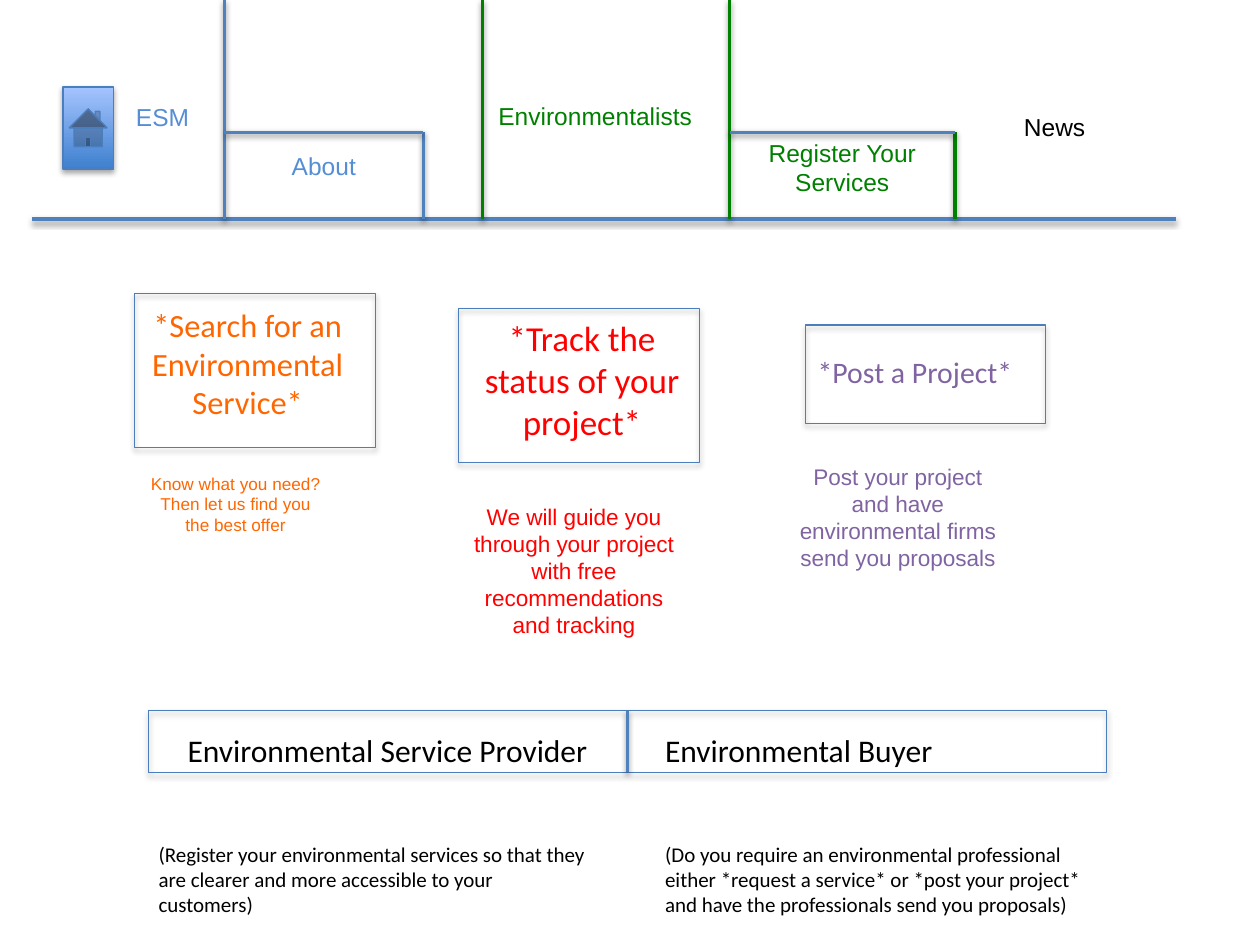
import pptx
import pptx.util
import pptx.dml.color
import pptx.enum.shapes
import pptx.enum.text
import pptx.oxml
import pptx.oxml.ns

SCALE = 9144
HUES = {
    "sky": "558ED5", "blue": "4F81BD", "edge": "4B7EBC",
    "deep": "3F80CE", "pale": "A4C4FF", "green": "008000",
    "orange": "FF6600", "red": "FF0000", "purple": "8064A2",
    "black": "000000",
}
KIND = pptx.enum.shapes.MSO_SHAPE
ALIGN = pptx.enum.text.PP_ALIGN
ANCHOR = pptx.enum.text.MSO_ANCHOR


def px(*nums):
    return [pptx.util.Emu(num * SCALE) for num in nums]


def rgb(hue):
    return pptx.dml.color.RGBColor.from_string(HUES[hue])


class Pen:
    def __init__(self, slide):
        self.slide = slide

    def shade(self, item, dist, alpha):
        item._element.spPr.append(pptx.oxml.parse_xml(
            f'<a:effectLst {pptx.oxml.ns.nsdecls("a")}>'
            f'<a:outerShdw blurRad="40000" dist="{dist}" dir="5400000" rotWithShape="0">'
            f'<a:srgbClr val="{HUES["black"]}"><a:alpha val="{alpha}"/></a:srgbClr>'
            '</a:outerShdw></a:effectLst>'))

    def rule(self, hue, *ends):
        line = self.slide.shapes.add_connector(
            pptx.enum.shapes.MSO_CONNECTOR.STRAIGHT, *px(*ends))
        line.line.color.rgb = rgb(hue)
        line.line.width = pptx.util.Pt(2)
        self.shade(line, 20000, 38000)

    def box(self, *spot, kind=KIND.RECTANGLE, grade=None):
        shape = self.slide.shapes.add_shape(kind, *px(*spot))
        if grade:
            shape.fill.gradient()
            shape.fill.gradient_angle = 90
            for stop, hue, place in zip(shape.fill.gradient_stops, grade, (0, 1)):
                stop.color.rgb = rgb(hue)
                stop.position = place
        else:
            shape.fill.background()
        shape.line.color.rgb = rgb("edge")
        shape.line.width = pptx.util.Pt(0.75)
        self.shade(shape, 23000, 35000)

    def text(self, words, hue, size, *spot, font="Calibri",
             align=ALIGN.LEFT, anchor=ANCHOR.TOP):
        frame = self.slide.shapes.add_textbox(*px(*spot)).text_frame
        frame.word_wrap = True
        frame.vertical_anchor = anchor
        para = frame.paragraphs[0]
        para.alignment = align
        run = para.add_run()
        run.text = words
        run.font.name = font
        run.font.size = pptx.util.Pt(size)
        run.font.color.rgb = rgb(hue)

    def label(self, words, hue, size, *spot):
        self.text(words, hue, size, *spot, font="Arial",
                  align=ALIGN.CENTER, anchor=ANCHOR.MIDDLE)


def main():
    deck = pptx.Presentation()
    deck.slide_width, deck.slide_height = px(1000, 750)
    pen = Pen(deck.slides.add_slide(deck.slide_layouts[6]))

    for words, hue, *spot in (
        ("ESM", "sky", 50, 30, 158, 125),
        ("About", "sky", 178, 69, 158, 125),
        ("News", "black", 758, 38, 158, 125),
        ("Environmentalists", "green", 383, 29, 179, 125),
        ("Register Your Services", "green", 579, 80, 179, 105),
    ):
        pen.label(words, hue, 14, *spot)

    base, step = 174, 105
    pen.rule("blue", 25, base, 933, base)
    for hue, left, top in (
        ("blue", 178, 0), ("blue", 336, step), ("green", 383, 0),
        ("green", 579, 0), ("green", 758, step),
    ):
        pen.rule(hue, left, top, left, base)
    for left, right in ((178, 336), (579, 758)):
        pen.rule("blue", left, step, right, step)
    pen.box(50, 69, 40, 65, kind=KIND.ACTION_BUTTON_HOME, grade=("deep", "pale"))

    cards = (
        ("orange", (107, 233, 191, 122),
         "*Search for an Environmental Service*", 18.5, (107, 237, 179, 117), ALIGN.CENTER,
         "Know what you need? Then let us find you the best offer", 9.8, (107, 367, 160, 66)),
        ("red", (364, 245, 191, 122),
         "*Track the status of your project*", 20, (364, 246, 196, 118), ALIGN.CENTER,
         "We will guide you through your project with free recommendations and tracking",
         12.9, (366, 400, 179, 105)),
        ("purple", (639, 258, 191, 78),
         "*Post a Project*", 17, (639, 276, 191, 46), ALIGN.LEFT,
         "Post your project and have environmental firms send you proposals",
         12.9, (623, 366, 179, 88)),
    )
    for hue, frame, head, size, spot, align, note, small, place in cards:
        pen.box(*frame)
        pen.text(head, hue, size, *spot, align=align)
        pen.label(note, hue, small, *place)

    pen.box(118, 564, 760, 49)
    pen.rule("blue", 498, 564, 498, 613)
    for words, size, *spot in (
        ("Environmental Service Provider", 18, 139, 575, 340, 40),
        ("Environmental Buyer", 18, 518, 575, 359, 40),
        ("(Register your environmental services so that they are clearer and more "
         "accessible to your customers)", 12, 116, 663, 359, 71),
        ("(Do you require an environmental professional either *request a service* or "
         "*post your project* and have the professionals send you proposals)",
         12, 518, 663, 359, 71),
    ):
        pen.text(words, "black", size, *spot)

    deck.save("out.pptx")


if __name__ == "__main__":
    main()
